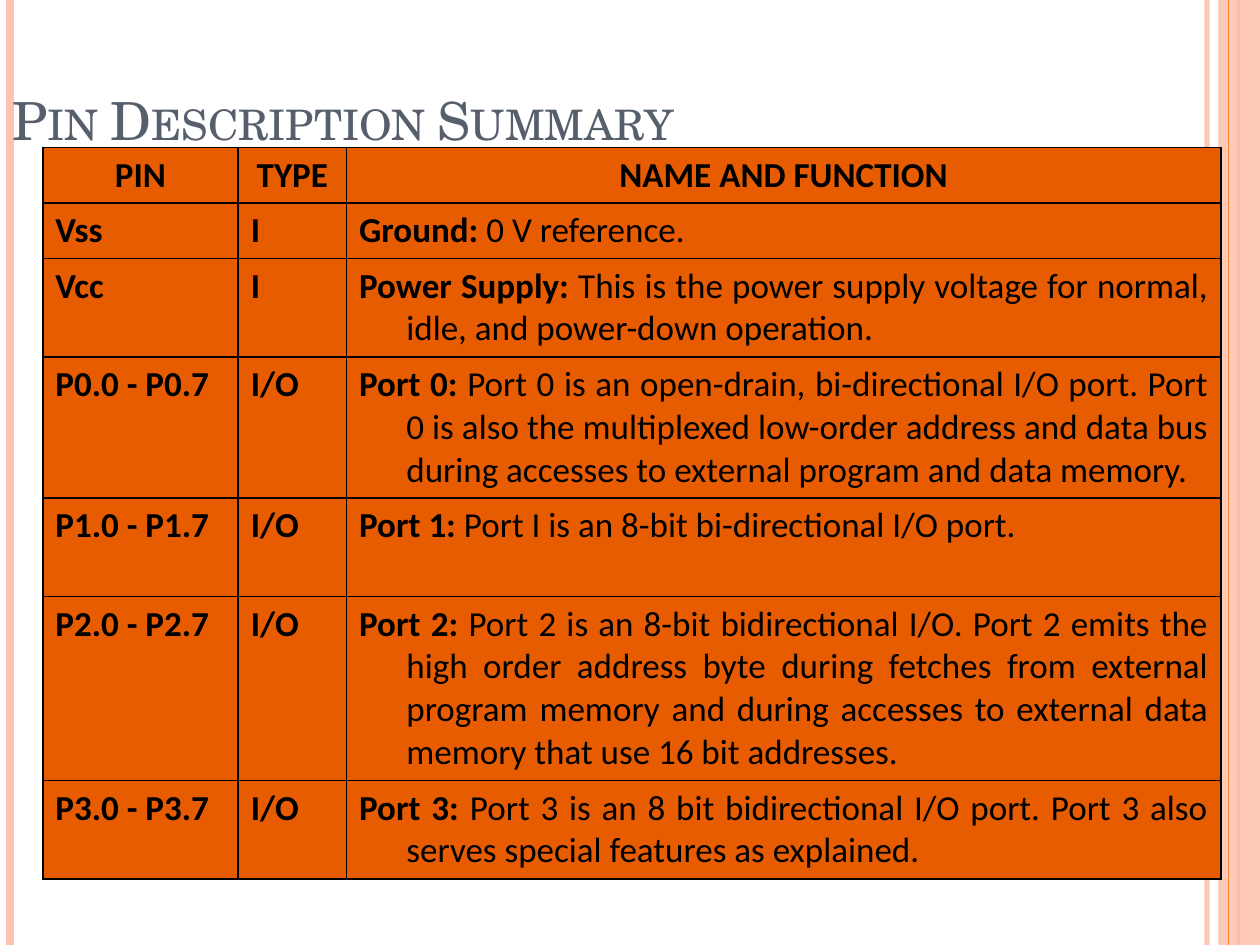
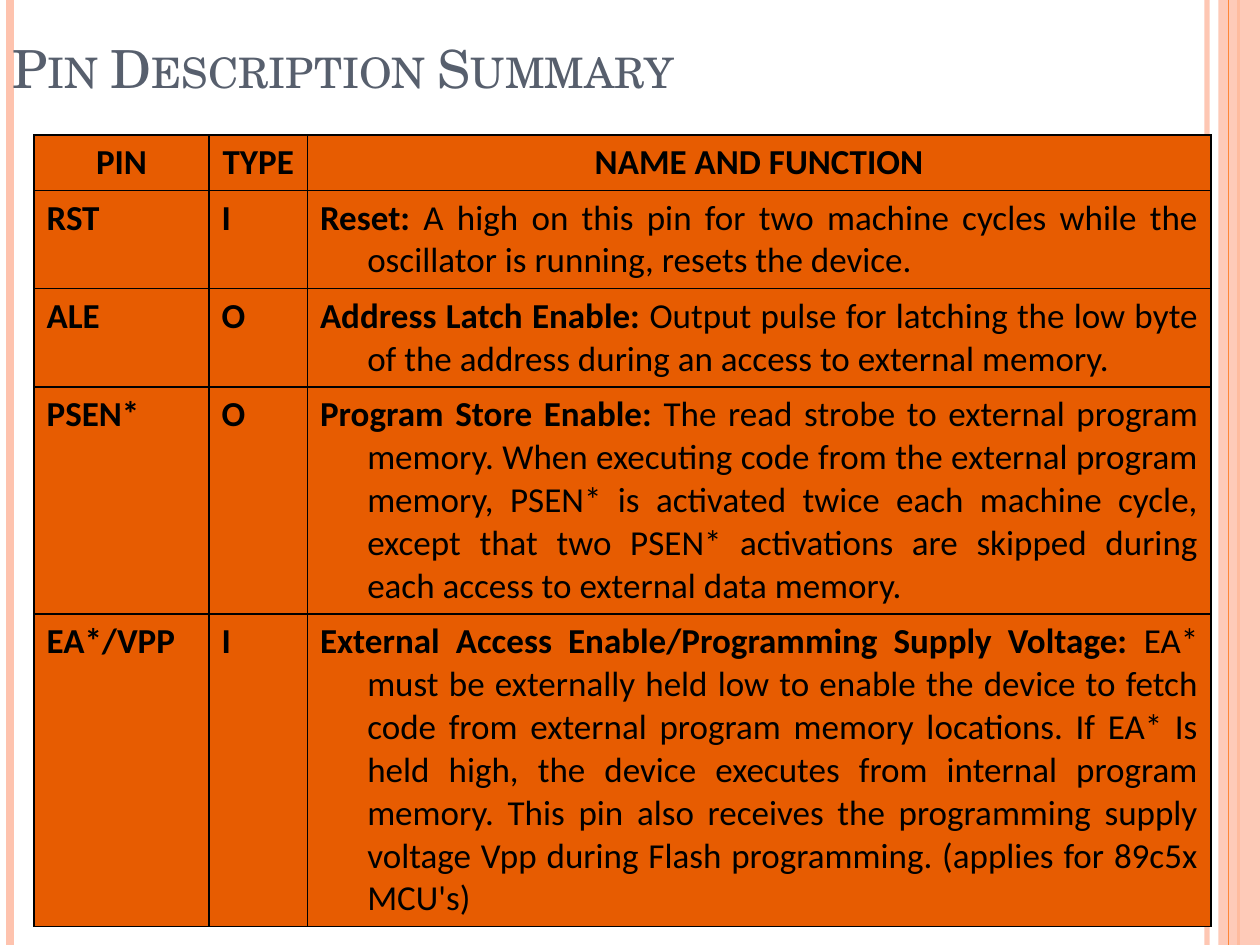
"""Build two slides that sum up the pins of a microcontroller."""
from lxml import etree
from pptx import Presentation
from pptx.dml.color import RGBColor
from pptx.enum.shapes import MSO_CONNECTOR, MSO_SHAPE
from pptx.enum.text import MSO_ANCHOR, MSO_AUTO_SIZE, PP_ALIGN
from pptx.oxml import parse_xml
from pptx.oxml.ns import nsdecls, qn
from pptx.util import Inches, Pt

STRAIGHT = MSO_CONNECTOR.STRAIGHT
RECT = MSO_SHAPE.RECTANGLE
BOTTOM = MSO_ANCHOR.BOTTOM
FIXED = MSO_AUTO_SIZE.NONE
LEFT, CENTER, JUSTIFY = PP_ALIGN.LEFT, PP_ALIGN.CENTER, PP_ALIGN.JUSTIFY

WHITE = RGBColor(0xFF, 0xFF, 0xFF)
BLACK = RGBColor(0x00, 0x00, 0x00)
PEACH = RGBColor(0xFE, 0xC3, 0xAE)
ORANGE = RGBColor(0xFE, 0x86, 0x37)
RUST = RGBColor(0xE7, 0x5C, 0x01)
SLATE = RGBColor(0x57, 0x5F, 0x6D)
SERIF, SANS = "TeX Gyre Schola", "Calibri"
WIDE, HIGH = 10, 7.5
HANG = Pt(27)

HEAD = ("PIN", "TYPE", "NAME AND FUNCTION", "")
PAGES = [
    {
        "title": 1.25,
        "at": (0.34, 1.17),
        "cols": (1.55, 0.86, 6.94),
        "heights": (0.44, 0.44, 0.78, 1.12, 0.78, 1.46, 0.78),
        "pins": [
            ("Vss", "I", "Ground: ", "0 V reference."),
            ("Vcc", "I", "Power Supply: ",
             "This is the power supply voltage for normal, idle, and "
             "power-down operation."),
            ("P0.0 - P0.7", "I/O", "Port 0: ",
             "Port 0 is an open-drain, bi-directional I/O port. Port 0 is "
             "also the multiplexed low-order address and data bus during "
             "accesses to external program and data memory."),
            ("P1.0 - P1.7", "I/O", "Port 1: ",
             "Port I is an 8-bit bi-directional I/O port."),
            ("P2.0 - P2.7", "I/O", "Port 2: ",
             "Port 2 is an 8-bit bidirectional I/O. Port 2 emits the high "
             "order address byte during fetches from external program "
             "memory and during accesses to external data memory that use "
             "16 bit addresses."),
            ("P3.0 - P3.7", "I/O", "Port 3: ",
             "Port 3 is an 8 bit bidirectional I/O port. Port 3 also serves "
             "special features as explained."),
        ],
    },
    {
        "title": 0.84,
        "at": (0.27, 1.07),
        "cols": (1.39, 0.78, 7.17),
        "heights": (0.44, 0.78, 0.78, 1.8, 2.48),
        "pins": [
            ("RST", "I", "Reset: ",
             "A high on this pin for two machine cycles while the "
             "oscillator is running, resets the device."),
            ("ALE", "O", "Address Latch Enable: ",
             "Output pulse for latching the low byte of the address during "
             "an access to external memory."),
            ("PSEN*", "O", "Program Store Enable: ",
             "The read strobe to external program memory. When executing "
             "code from the external program memory, PSEN* is activated "
             "twice each machine cycle, except that two PSEN* activations "
             "are skipped during each access to external data memory."),
            ("EA*/VPP", "I",
             "External Access Enable/Programming Supply Voltage: ",
             "EA* must be externally held low to enable the device to fetch "
             "code from external program memory locations. If EA* Is held "
             "high, the device executes from internal program memory. This "
             "pin also receives the programming supply voltage Vpp during "
             "Flash programming. (applies for 89c5x MCU's)"),
        ],
    },
]


def fade(shape, share):
    """Make the colours of a shape partly clear."""
    for color in shape.element.spPr.iter(qn("a:srgbClr")):
        etree.SubElement(color, qn("a:alpha")).set("val", str(share * 1000))


def stripe(slide, x, width, color):
    """Draw a line from the top to the foot of the slide."""
    line = slide.shapes.add_connector(
        STRAIGHT, Inches(x), 0, Inches(x), Inches(HIGH))
    line.line.color.rgb = color
    line.line.width = Pt(width)
    etree.SubElement(line.element.spPr, qn("a:effectLst"))
    return line


deck = Presentation()
deck.slide_width, deck.slide_height = Inches(WIDE), Inches(HIGH)

for page in PAGES:
    slide = deck.slides.add_slide(deck.slide_layouts[5])
    slide.background.fill.solid()
    slide.background.fill.fore_color.rgb = WHITE

    fade(stripe(slide, 9.58, 3, PEACH), 93)
    stripe(slide, 0.08, 4.5, PEACH)
    stripe(slide, 9.83, 1.5, ORANGE)
    band = slide.shapes.add_shape(
        RECT, Inches(9.67), 0, Inches(0.33), Inches(HIGH))
    band.shadow.inherit = False
    band.fill.solid()
    band.fill.fore_color.rgb = PEACH
    band.line.fill.background()
    fade(band, 87)
    stripe(slide, 9.75, 0.75, ORANGE)

    title = slide.shapes.title
    title.left, title.top = 0, 0
    title.width, title.height = Inches(WIDE), Inches(page["title"])
    frame = title.text_frame
    frame.text = "Pin Description Summary"
    frame.vertical_anchor = BOTTOM
    frame.auto_size = FIXED
    frame.word_wrap = True
    para = frame.paragraphs[0]
    para.alignment = LEFT
    font = para.runs[0].font
    font.name, font.size, font.color.rgb = SERIF, Pt(30), SLATE
    for props in title.element.iter(qn("a:rPr")):
        props.set("cap", "small")
    slide.shapes.element.append(title.element)

    rows = [HEAD] + page["pins"]
    left, top = page["at"]
    cols, heights = page["cols"], page["heights"]
    holder = slide.shapes.add_table(
        len(rows), len(cols), Inches(left), Inches(top),
        Inches(sum(cols)), Inches(sum(heights)))
    table = holder.table
    table.first_row = table.horz_banding = False
    for col, width in zip(table.columns, cols):
        col.width = Inches(width)
    for row, height in zip(table.rows, heights):
        row.height = Inches(height)

    for r, (pin, kind, name, note) in enumerate(rows):
        for c, text in enumerate((pin, kind, name)):
            cell = table.cell(r, c)
            cell.fill.solid()
            cell.fill.fore_color.rgb = RUST
            cell.text_frame.text = text
            para = cell.text_frame.paragraphs[0]
            para.alignment = JUSTIFY if r else CENTER
            if c == 2 and note:
                para.add_run().text = note
            for i, run in enumerate(para.runs):
                font = run.font
                font.name, font.size, font.bold = SANS, Pt(20), i == 0
                font.color.rgb = BLACK

    for props in holder.element.iter(qn("a:pPr")):
        props.set("marL", str(HANG))
        props.set("indent", str(-HANG))
    for props in holder.element.iter(qn("a:tcPr")):
        for i, side in enumerate("LRTB"):
            props.insert(i, parse_xml(
                f'<a:ln{side} {nsdecls("a")} w="{Pt(1)}"><a:solidFill>'
                f'<a:srgbClr val="{BLACK}"/></a:solidFill></a:ln{side}>'))

deck.save("out.pptx")
